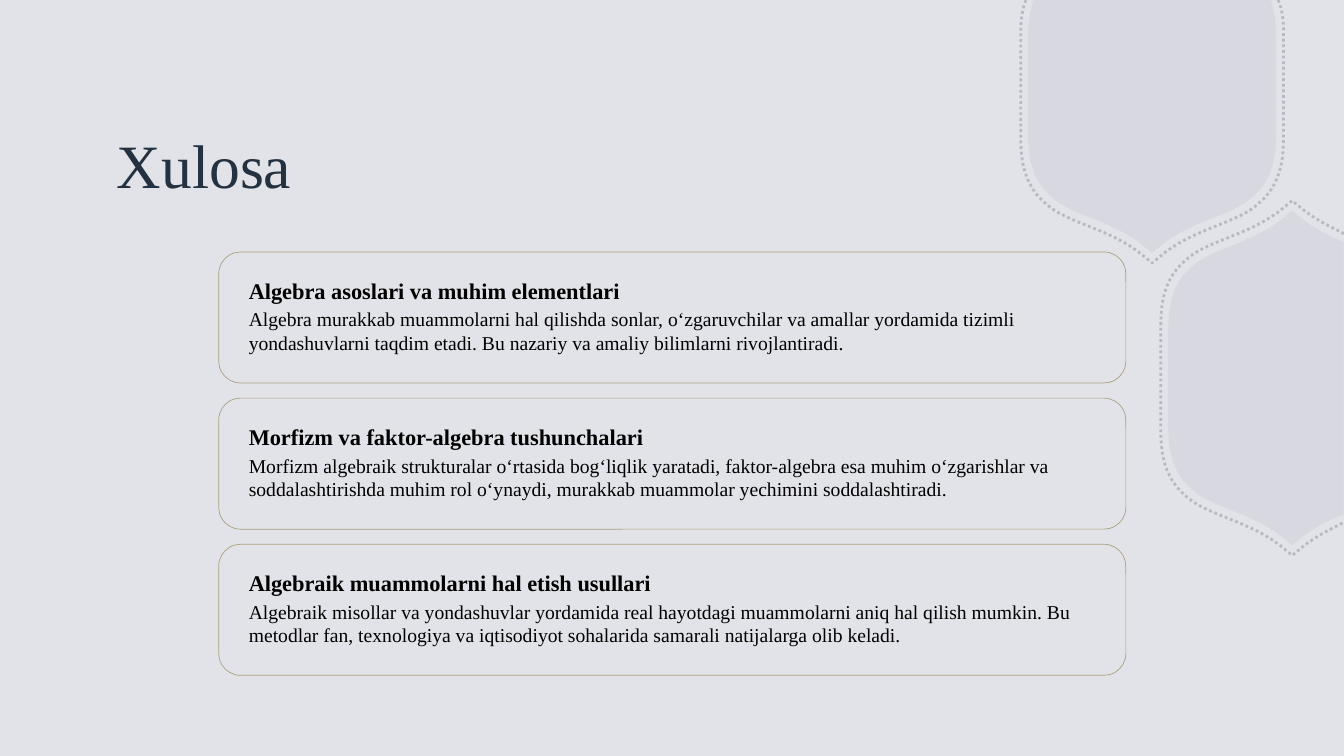
from lxml.etree import SubElement
from pptx import Presentation
from pptx.dml.color import RGBColor
from pptx.enum.dml import MSO_LINE
from pptx.enum.shapes import MSO_SHAPE
from pptx.enum.text import MSO_ANCHOR, PP_ALIGN
from pptx.oxml.ns import qn
from pptx.util import Inches, Pt

WIDE, HIGH = 40 / 3, 7.5
SIDE = [(1.23, 0.49), (1.23, 0.84), (1.13, 1.02), (0.91, 1.17),
        (0.68, 1.31), (0.38, 1.36), (0.11, 1.57), (0, 1.66)]
UPPER = [(1.18, -0.85), (1.21, -0.74), (1.23, -0.63), (1.23, -0.49)] + SIDE
LOWER = [(0.51, -1.35), (0.37, -1.41), (0.24, -1.47), (0.11, -1.57)]
LOWER += [(-u, -v) for u, v in SIDE[::-1]]
SHIELDS = [
    (11.43, 0.85, UPPER + [(-u, v) for u, v in UPPER[-2::-1]], "CLCCLLCCLC"),
    (12.82, 3.75, LOWER + [(u, -v) for u, v in LOWER[::-1]], "CLLCCLCCLLC"),
]
CARDS = [
    ("Algebra asoslari va muhim elementlari",
     "Algebra murakkab muammolarni hal qilishda sonlar, o‘zgaruvchilar va amallar "
     "yordamida tizimli yondashuvlarni taqdim etadi. Bu nazariy va amaliy bilimlarni "
     "rivojlantiradi."),
    ("Morfizm va faktor-algebra tushunchalari",
     "Morfizm algebraik strukturalar o‘rtasida bog‘liqlik yaratadi, faktor-algebra esa "
     "muhim o‘zgarishlar va soddalashtirishda muhim rol o‘ynaydi, murakkab muammolar "
     "yechimini soddalashtiradi."),
    ("Algebraik muammolarni hal etish usullari",
     "Algebraik misollar va yondashuvlar yordamida real hayotdagi muammolarni aniq hal "
     "qilish mumkin. Bu metodlar fan, texnologiya va iqtisodiyot sohalarida samarali "
     "natijalarga olib keladi."),
]


def paint(form, tint, alpha=100):
    form.solid()
    form.fore_color.rgb = RGBColor.from_string(tint)
    if alpha < 100:
        node = form.fore_color._xFill[0]
        SubElement(node, qn("a:alpha")).set("val", str(alpha * 1000))


def place(shape, x, y, w, h):
    shape.left, shape.top = Inches(x), Inches(y)
    shape.width, shape.height = Inches(w), Inches(h)


def write(shape, text, size, tint="000000", bold=False, anchor=MSO_ANCHOR.TOP):
    frame = shape.text_frame
    frame.word_wrap = True
    frame.vertical_anchor = anchor
    para = frame.paragraphs[0]
    para.alignment = PP_ALIGN.LEFT
    run = para.add_run()
    run.text = text
    font = run.font
    font.name, font.size, font.bold = "Times New Roman", Pt(size), bold
    paint(font.fill, tint)


def curve(shape, kinds):
    lines = iter(list(shape._element.iter(qn("a:lnTo"))))
    for kind in kinds:
        line = next(lines)
        if kind == "C":
            line.tag = qn("a:cubicBezTo")
            for _ in range(2):
                extra = next(lines)
                line.append(extra[0])
                extra.getparent().remove(extra)


def trace(slide, x, y, points, kinds, scale, close):
    spots = [
        (Inches(min(x + u * scale, WIDE)), Inches(max(y + v * scale, 0)))
        for u, v in points
    ]
    pen = slide.shapes.build_freeform(*spots[0])
    pen.add_line_segments(spots[1:], close=False)
    shape = pen.convert_to_shape()
    curve(shape, kinds)
    if close:
        for node in shape._element.iter(qn("a:path")):
            SubElement(node, qn("a:close"))
    shape.shadow.inherit = False
    return shape


def shield(slide, x, y, points, kinds):
    body = trace(slide, x, y, points, kinds, 1, True)
    paint(body.fill, "A2A5B5", 15)
    body.line.fill.background()
    edge = trace(slide, x, y, points, kinds, 1.06, False)
    edge.fill.background()
    paint(edge.line.fill, "A2A5B5", 65)
    edge.line.width = Pt(2)
    edge.line.dash_style = MSO_LINE.ROUND_DOT


def label(slide, text, x, y, w, h, **look):
    box = slide.shapes.add_textbox(0, 0, 0, 0)
    place(box, x, y, w, h)
    write(box, text, **look)


def card(slide, head, body, x, y, w, h):
    frame = slide.shapes.add_shape(MSO_SHAPE.ROUNDED_RECTANGLE, 0, 0, 0, 0)
    place(frame, x, y, w, h)
    frame.shadow.inherit = False
    frame.fill.background()
    paint(frame.line.fill, "AAA180")
    frame.line.width = Pt(0.5)
    label(slide, head, x + 0.2, y + 0.2, w - 0.4, 0.3, size=16, bold=True)
    label(slide, body, x + 0.2, y + 0.5, w - 0.4, h - 0.5, size=14)


def main():
    deck = Presentation()
    deck.slide_width, deck.slide_height = Inches(WIDE), Inches(HIGH)
    slide = deck.slides.add_slide(deck.slide_layouts[5])
    paint(slide.background.fill, "E2E3E8")
    for spot in SHIELDS:
        shield(slide, *spot)
    title = slide.shapes.title
    place(title, 1.06, 1.05, 9.93, 1.16)
    write(title, "Xulosa", 44, tint="243141", anchor=MSO_ANCHOR.MIDDLE)
    for i, (head, body) in enumerate(CARDS):
        card(slide, head, body, 2.17, 2.5 + i * 1.45, 9, 1.3)
    deck.save("out.pptx")


if __name__ == "__main__":
    main()
